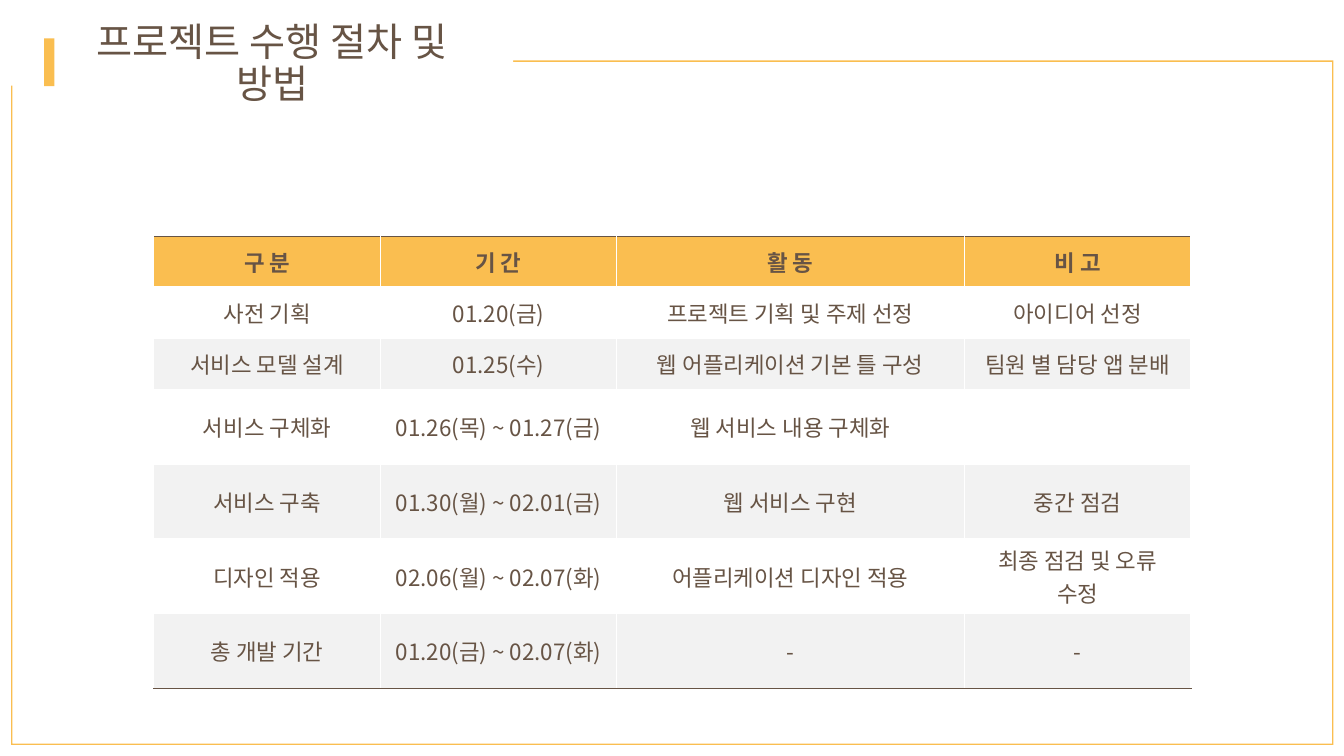
from dataclasses import dataclass

from lxml.etree import SubElement
from pptx import Presentation
from pptx.dml.color import RGBColor
from pptx.enum.shapes import MSO_SHAPE as Preset
from pptx.enum.text import MSO_ANCHOR as Anchor, PP_ALIGN as Align
from pptx.oxml import parse_xml
from pptx.oxml.ns import nsdecls, qn
from pptx.util import Pt

FONT = "Noto Sans CJK KR"
YELLOW, BROWN, WHITE, GRAY = "FABE50", "675445", "FFFFFF", "F2F2F2"
COLUMN_WIDTHS = (162, 168.5, 248.4, 162)
ROW_HEIGHTS = (36.4,) * 3 + (53.4,) * 4
CELL_MARGIN = 9
ROWS = (
    ("구 분", "기 간", "활 동", "비 고"),
    ("사전 기획", "01.20(금)", "프로젝트 기획 및 주제 선정", "아이디어 선정"),
    ("서비스 모델 설계", "01.25(수)", "웹 어플리케이션 기본 틀 구성", "팀원 별 담당 앱 분배"),
    ("서비스 구체화", "01.26(목) ~ 01.27(금)", "웹 서비스 내용 구체화", ""),
    ("서비스 구축", "01.30(월) ~ 02.01(금)", "웹 서비스 구현", "중간 점검"),
    ("디자인 적용", "02.06(월) ~ 02.07(화)", "어플리케이션 디자인 적용", "최종 점검 및 오류 수정"),
    ("총 개발 기간", "01.20(금) ~ 02.07(화)", "-", "-"),
)


@dataclass(frozen=True)
class Block:
    preset: Preset
    left: float
    top: float
    width: float
    height: float
    color: str


@dataclass(frozen=True)
class Border:
    side: str
    color: str = WHITE
    width: float = 1


FRAME = Block(Preset.FRAME, 7.9, 43.2, 944.6, 488.9, YELLOW)
TITLE_GAP = Block(Preset.RECTANGLE, 0, 0, 366.5, 61.2, WHITE)
TITLE_MARK = Block(Preset.RECTANGLE, 31.5, 27.5, 7.4, 34, YELLOW)


def rgb(color: str) -> RGBColor:
    return RGBColor.from_string(color)


def add_block(shapes, block: Block):
    shape = shapes.add_shape(
        block.preset, Pt(block.left), Pt(block.top), Pt(block.width), Pt(block.height)
    )
    shape.shadow.inherit = False
    shape.fill.solid()
    shape.fill.fore_color.rgb = rgb(block.color)
    shape.line.fill.background()
    return shape


def write(para, text: str, size: float, bold: bool = False) -> None:
    para.text = text
    para.alignment = Align.CENTER
    font = para.font
    font.size, font.bold, font.name = Pt(size), bold, FONT
    font.color.rgb = rgb(BROWN)
    properties = para._p.get_or_add_pPr().find(qn("a:defRPr"))
    SubElement(properties, qn("a:ea"), typeface=FONT)


def set_borders(cell, borders: tuple[Border, ...]) -> None:
    properties = cell._tc.get_or_add_tcPr()
    for index, border in enumerate(borders):
        properties.insert(index, parse_xml(
            f'<a:ln{border.side} {nsdecls("a")} w="{Pt(border.width)}">'
            f'<a:solidFill><a:srgbClr val="{border.color}"/></a:solidFill>'
            f'</a:ln{border.side}>'
        ))


def add_header(page) -> None:
    group = page.shapes.add_group_shape()
    add_block(group.shapes, FRAME).adjustments[0] = 0.002
    add_block(group.shapes, TITLE_GAP)
    box = group.shapes.add_textbox(Pt(39.6), Pt(25.9), Pt(309.6), Pt(41))
    box.text_frame.word_wrap = True
    box.text_frame.vertical_anchor = Anchor.MIDDLE
    para = box.text_frame.paragraphs[0]
    para.line_spacing = 0.9
    write(para, "프로젝트 수행 절차 및 방법", 28)
    add_block(page.shapes, TITLE_MARK)


def add_schedule(page) -> None:
    table = page.shapes.add_table(
        len(ROWS), len(COLUMN_WIDTHS), Pt(109.8), Pt(169),
        Pt(sum(COLUMN_WIDTHS)), Pt(sum(ROW_HEIGHTS)),
    ).table
    table.horz_banding = False
    for column, width in zip(table.columns, COLUMN_WIDTHS):
        column.width = Pt(width)
    last = len(ROWS) - 1
    for row_index, (texts, height) in enumerate(zip(ROWS, ROW_HEIGHTS)):
        table.rows[row_index].height = Pt(height)
        heading = row_index == 0
        fill = YELLOW if heading else (GRAY, WHITE)[row_index % 2]
        top = Border("T", BROWN) if heading else Border("T", width=3 if row_index == 1 else 1)
        bottom = Border("B", BROWN) if row_index == last else Border("B", width=3 if heading else 1)
        for column_index, text in enumerate(texts):
            cell = table.cell(row_index, column_index)
            cell.vertical_anchor = Anchor.MIDDLE
            cell.margin_left = cell.margin_right = Pt(CELL_MARGIN)
            cell.fill.solid()
            cell.fill.fore_color.rgb = rgb(fill)
            write(cell.text_frame.paragraphs[0], text, 16, heading)
            set_borders(cell, (Border("L"), Border("R"), top, bottom))


def main() -> None:
    deck = Presentation()
    deck.slide_width, deck.slide_height = Pt(960), Pt(540)
    page = deck.slides.add_slide(deck.slide_layouts[6])
    add_header(page)
    add_schedule(page)
    deck.save("out.pptx")


if __name__ == "__main__":
    main()
